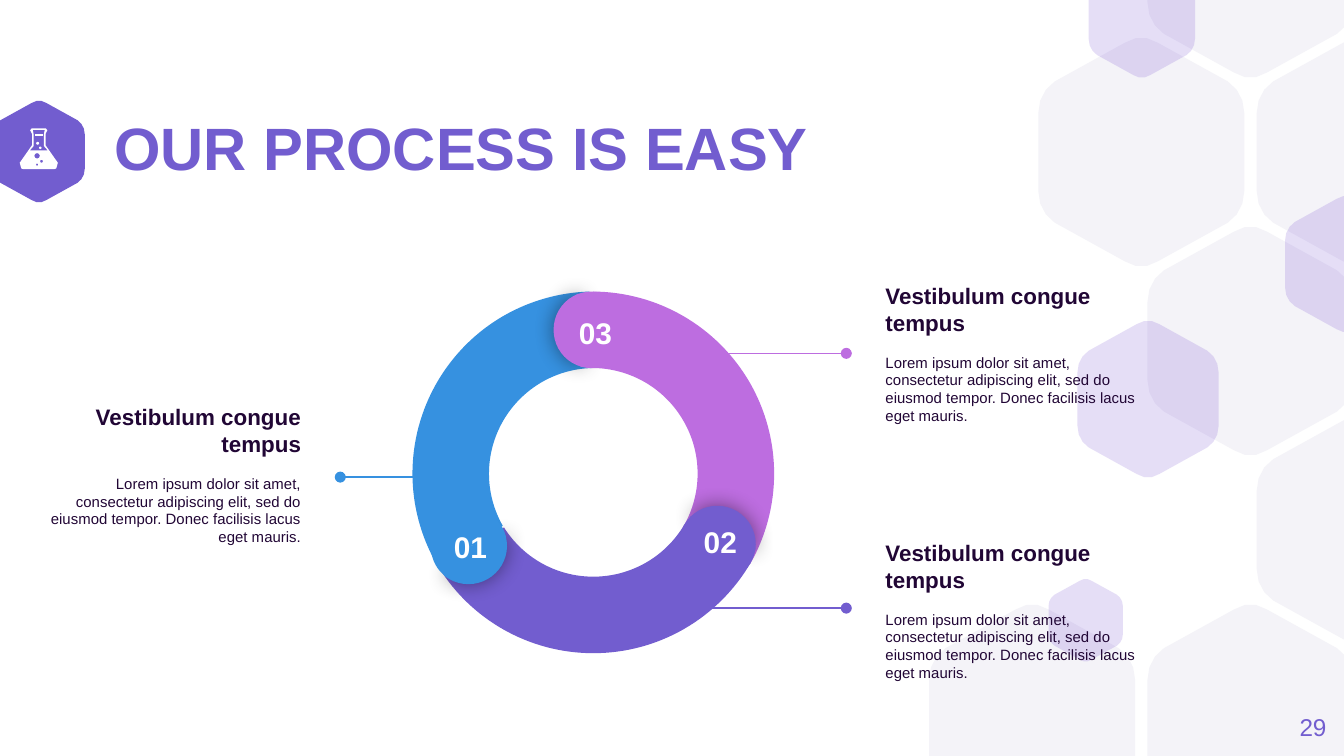
"""Build a three-step ring process slide on a hexagon backdrop."""
from dataclasses import dataclass
from math import cos, pi, sin
from typing import Any, NamedTuple

from lxml.etree import SubElement
from pptx import Presentation
from pptx.dml.color import RGBColor
from pptx.enum.shapes import MSO_CONNECTOR, MSO_SHAPE
from pptx.enum.text import MSO_ANCHOR, PP_ALIGN
from pptx.oxml.ns import qn
from pptx.util import Pt

Point = tuple[float, float]
Loop = list[Point]


@dataclass(frozen=True)
class Theme:
    """Colours, font and type sizes."""

    font: str = "Arial"
    violet: str = "725DCF"
    pink: str = "BD6DE0"
    blue: str = "3691E0"
    ink: str = "210635"
    white: str = "FFFFFF"
    mist: str = "F4F3F8"
    haze: str = "5322C9"
    title: float = 32
    label: float = 16
    page: float = 13
    head: float = 12
    body: float = 8


class Box(NamedTuple):
    """A frame in points."""

    x: float
    y: float
    w: float
    h: float


class Line(NamedTuple):
    """One paragraph with its type and format values."""

    text: str
    size: float
    color: str
    bold: bool = False
    form: dict[str, Any] = {}


class Step(NamedTuple):
    """One step: its arc, end cap, number and note."""

    label: str
    color: str
    arc: Box
    sweep: tuple[float, float, float]
    turn: float
    cap: Box
    tilt: float
    spin: float
    tag: Box
    note: Box
    align: PP_ALIGN
    start: Point
    end: Point


THEME = Theme()
WIDTH, HEIGHT = 720, 405
HEX_RATIO = 0.905
HEADING = "Vestibulum congue tempus"
BODY = ("Lorem ipsum dolor sit amet, consectetur adipiscing elit, sed do eiusmod "
        "tempor. Donec facilisis lacus eget mauris.")
GRID = [(0, 3), (2, 3), (3, 0), (2, -1), (2, 1), (1, 0), (3, 2)]
ACCENTS = [(688.4, 105.1, 72.7), (561.7, 310.3, 44), (583.2, -21.5, 63), (577.2, 172, 83.6)]
STEPS = [
    Step("03", THEME.pink, Box(219.6, 156.2, 195.1, 195.1), (126.22, 197.82, 0.21), 60,
         Box(296.6, 156.2, 40.3, 41), 0.7, 180, Box(301, 161.3, 36, 18.7),
         Box(467.3, 144, 149, 90.7), PP_ALIGN.LEFT, (362.9, 189.3), (453.4, 189.3)),
    Step("02", THEME.violet, Box(220.3, 154.8, 195.1, 195.1), (126.22, 196.63, 0.21), 180,
         Box(364.3, 270.7, 40.3, 41), 120.7, 300, Box(367.9, 273.6, 36, 18.7),
         Box(467.3, 281.7, 149, 90.7), PP_ALIGN.LEFT, (362.9, 325.8), (453.4, 325.8)),
    Step("01", THEME.blue, Box(221, 156.2, 195.1, 195.1), (126.22, 197.03, 0.21), 300,
         Box(231.1, 272.2, 40.3, 41), 240.6, 60, Box(234, 275.8, 36, 18.7),
         Box(19.4, 208.9, 149, 90.7), PP_ALIGN.RIGHT, (226.8, 255.6), (182.3, 255.6)),
]


def apply(target: Any, values: dict[str, Any]) -> None:
    """Set each named value on the target."""
    for name, value in values.items():
        setattr(target, name, value)


def paint(shape: Any, color: str) -> None:
    """Give a shape a flat fill with no line or shadow."""
    shape.shadow.inherit = False
    shape.fill.solid()
    shape.fill.fore_color.rgb = RGBColor.from_string(color)
    shape.line.fill.background()


def fade(tint: Any, percent: int) -> None:
    """Set the opacity of a colour element."""
    SubElement(tint, qn("a:alpha"), val=str(percent * 1000))


def draw(shapes: Any, loops: list[Loop], color: str) -> Any:
    """Draw closed loops as one freeform."""
    spots = [[(Pt(x), Pt(y)) for x, y in loop] for loop in loops]
    pen = shapes.build_freeform(*spots[0][0])
    pen.add_line_segments(spots[0][1:])
    for first, *rest in spots[1:]:
        pen.move_to(*first)
        pen.add_line_segments(rest)
    shape = pen.convert_to_shape()
    paint(shape, color)
    return shape


def curve(a: Point, b: Point, c: Point, d: Point, count: int = 3) -> Loop:
    """Sample a cubic curve."""
    times = [i / count for i in range(count + 1)]
    return [tuple((1 - t) ** 3 * p + 3 * t * (1 - t) ** 2 * q + 3 * t * t * (1 - t) * r + t ** 3 * s
                  for p, q, r, s in zip(a, b, c, d)) for t in times]


def hexagon(x: float, y: float, h: float) -> Loop:
    """Outline a rounded hexagon, cut at the top and bottom of the slide."""
    side = curve((1, 0.33), (1, 0.27), (0.97, 0.22), (0.92, 0.19))
    peak = curve((0.58, 0.02), (0.53, -0.01), (0.47, -0.01), (0.42, 0.02))
    top = side + peak + [(1 - u, v) for u, v in reversed(side)]
    unit = top + [(1 - u, 1 - v) for u, v in top]
    spots = [(x + u * h * HEX_RATIO, min(max(y + v * h, 0), HEIGHT)) for u, v in unit]
    return list(dict.fromkeys(spots))


def ring(x: float, y: float, r: float) -> Loop:
    """Outline a small circle."""
    return [(x + r * cos(i * pi / 4), y + r * sin(i * pi / 4)) for i in range(8)]


def mirror(half: Loop, axis: float) -> Loop:
    """Close a half outline by mirroring it about an upright axis."""
    return [(axis + x, y) for x, y in half] + [(axis - x, y) for x, y in reversed(half)]


def flask(shapes: Any) -> None:
    """Draw the flask icon."""
    glass = [(3.8, 68.8), (4.6, 69.8), (3.6, 71.8), (3.6, 77.8),
             (10.2, 87.2), (9.4, 90.2), (8.4, 90.6)]
    hollow = [(3.2, 69.6), (2.8, 71.8), (2.8, 78.3), (4.8, 80.6)]
    holes = [ring(19.9, 83.5, 1.5), ring(22.3, 86.4, 0.8), ring(19.9, 88.2, 0.6)]
    draw(shapes, [mirror(glass, 20.8), mirror(hollow, 20.8), *holes], THEME.white)
    for loop in (ring(21.6, 79.2, 0.7), mirror([(2, 71.9), (2, 72.7)], 20.8), ring(20.2, 76.8, 0.8)):
        draw(shapes, [loop], THEME.white)


def write(shapes: Any, box: Box, lines: list[Line], anchor: MSO_ANCHOR, inset: float = 0) -> None:
    """Add a text box."""
    frame = shapes.add_textbox(*map(Pt, box)).text_frame
    sides = ("left", "right", "top", "bottom")
    apply(frame, {"word_wrap": True, "vertical_anchor": anchor}
          | {f"margin_{side}": Pt(inset) for side in sides})
    for i, line in enumerate(lines):
        para = frame.add_paragraph() if i else frame.paragraphs[0]
        apply(para, line.form)
        run = para.add_run()
        run.text = line.text
        apply(run.font, {"name": THEME.font, "size": Pt(line.size), "bold": line.bold})
        run.font.color.rgb = RGBColor.from_string(line.color)


def link(shapes: Any, step: Step) -> None:
    """Draw a leader line with a dot at its end."""
    line = shapes.add_connector(MSO_CONNECTOR.STRAIGHT, *map(Pt, step.start + step.end))
    line.line.width = Pt(0.75)
    line.line.color.rgb = RGBColor.from_string(step.color)
    props = line.element.spPr
    SubElement(props.find(qn("a:ln")), qn("a:tailEnd"), type="oval")
    SubElement(props, qn("a:effectLst"))


def wedge(shapes: Any, kind: MSO_SHAPE, box: Box, color: str, turn: float, sweep: tuple[float, ...]) -> Any:
    """Add a turned arc or pie."""
    shape = shapes.add_shape(kind, *map(Pt, box))
    for i, value in enumerate(sweep):
        shape.adjustments[i] = value
    shape.rotation = turn
    paint(shape, color)
    return shape


def glow(shape: Any) -> None:
    """Add a soft dark shadow."""
    effects = shape.element.spPr.find(qn("a:effectLst"))
    outer = SubElement(effects, qn("a:outerShdw"), blurRad=str(Pt(11.2)), dist="0", dir="0",
                       algn="ctr", rotWithShape="0")
    fade(SubElement(outer, qn("a:srgbClr"), val="000000"), 43)


def main() -> None:
    """Build and save the slide."""
    deck = Presentation()
    apply(deck, {"slide_width": Pt(WIDTH), "slide_height": Pt(HEIGHT)})
    shapes = deck.slides.add_slide(deck.slide_layouts[6]).shapes
    draw(shapes, [hexagon(-3.6, 54.1, 54.2)], THEME.violet)
    for col, row in GRID:
        draw(shapes, [hexagon(497.7 + 58.5 * col, 20.5 + 101.2 * row, 122)], THEME.mist)
    for spot in ACCENTS:
        shape = draw(shapes, [hexagon(*spot)], THEME.haze)
        fade(next(shape.element.spPr.iter(qn("a:srgbClr"))), 15)
    title = Line("OUR PROCESS IS EASY", THEME.title, THEME.violet, True, {"line_spacing": 0.9})
    page = Line("29", THEME.page, THEME.violet, form={"alignment": PP_ALIGN.RIGHT})
    write(shapes, Box(61.2, 65.5, 473, 31), [title], MSO_ANCHOR.MIDDLE)
    write(shapes, Box(667.4, 373.7, 43.2, 31), [page], MSO_ANCHOR.MIDDLE)
    flask(shapes)
    for step in STEPS:
        form = {"alignment": step.align}
        lines = [Line(HEADING, THEME.head, THEME.ink, True, form),
                 Line(BODY, THEME.body, THEME.ink, form=form | {"space_before": Pt(9.2)})]
        write(shapes, step.note, lines, MSO_ANCHOR.MIDDLE, 7.2)
        link(shapes, step)
    for step in STEPS:
        wedge(shapes, MSO_SHAPE.BLOCK_ARC, step.arc, step.color, step.turn, step.sweep)
    for step in STEPS:
        glow(wedge(shapes, MSO_SHAPE.PIE, step.cap, step.color, step.tilt, (61.9, 149.96)))
        wedge(shapes, MSO_SHAPE.PIE, step.cap, step.color, step.spin, (40.28, 171.84))
        label = Line(step.label, THEME.label, THEME.white, True, {"alignment": PP_ALIGN.CENTER})
        write(shapes, step.tag, [label], MSO_ANCHOR.TOP, 7.2)
    deck.save("out.pptx")


if __name__ == "__main__":
    main()
